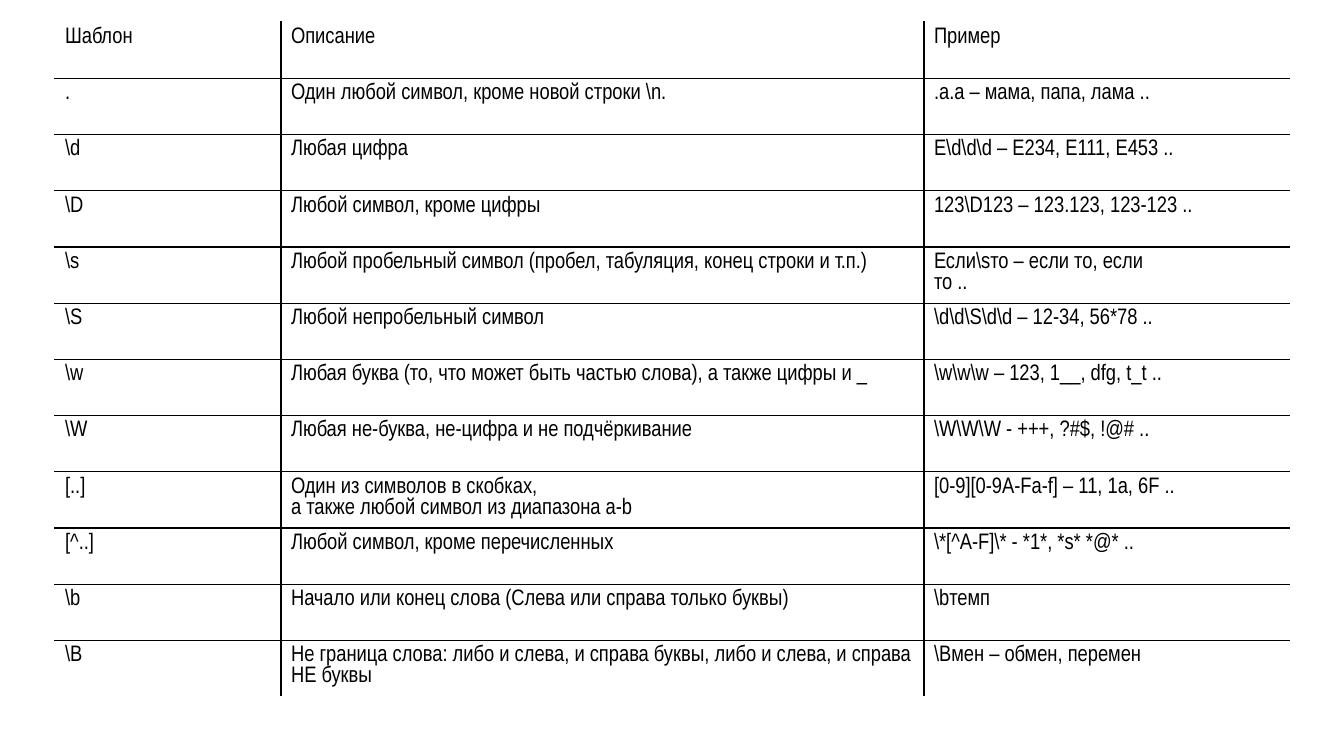
from lxml.etree import SubElement
from pptx import Presentation
from pptx.dml.color import RGBColor
from pptx.oxml.ns import qn
from pptx.util import Pt

SCALE = 914400 / 100.8
FONT = {"name": "Arial Narrow", "size": Pt(16), "bold": False}
PLAIN = {"first_row": False, "horz_banding": False}
INK, PAPER = "000000", "FFFFFF"
COLS = [226, 643, 365]
ROWS = [
    ("Шаблон", "Описание", "Пример"),
    (".", r"Один любой символ, кроме новой строки \n.", ".а.а – мама, папа, лама .."),
    (r"\d", "Любая цифра", r"E\d\d\d – E234, E111, E453 .."),
    (r"\D", "Любой символ, кроме цифры", r"123\D123 – 123.123, 123-123 .."),
    (r"\s", "Любой пробельный символ (пробел, табуляция, конец строки и т.п.)",
     "Если\\sто – если то, если\nто .."),
    (r"\S", "Любой непробельный символ", r"\d\d\S\d\d – 12-34, 56*78 .."),
    (r"\w", "Любая буква (то, что может быть частью слова), а также цифры и _",
     r"\w\w\w – 123, 1__, dfg, t_t .."),
    (r"\W", "Любая не-буква, не-цифра и не подчёркивание", r"\W\W\W - +++, ?#$, !@# .."),
    ("[..]", "Один из символов в скобках,\nа также любой символ из диапазона a-b",
     "[0-9][0-9A-Fa-f] – 11, 1a, 6F .."),
    ("[^..]", "Любой символ, кроме перечисленных", r"\*[^A-F]\* - *1*, *s* *@* .."),
    (r"\b", "Начало или конец слова (Слева или справа только буквы)", r"\bтемп"),
    (r"\B", "Не граница слова: либо и слева, и справа буквы, либо и слева, и справа НЕ буквы",
     r"\Bмен – обмен, перемен"),
]


def px(n):
    return round(n * SCALE)


def color(code):
    return RGBColor.from_string(code)


def style(item, values):
    for key, value in values.items():
        setattr(item, key, value)


def border(cell, sides):
    """Draw the cell's sides; they must come before its fill."""
    props = cell._tc.get_or_add_tcPr()
    for side, code in sides.items():
        line = SubElement(props, qn(f"a:ln{side}"), w=str(Pt(1)))
        fill = SubElement(line, qn("a:solidFill"))
        SubElement(fill, qn("a:srgbClr"), val=code)


def write(cell, text):
    cell.text = text
    for para in cell.text_frame.paragraphs:
        for run in para.runs:
            style(run.font, FONT)
            run.font.color.rgb = color(INK)


def add_grid(slide, left, top, width, height):
    box = [px(n) for n in (left, top, width, height)]
    table = slide.shapes.add_table(len(ROWS), len(COLS), *box).table
    style(table, PLAIN)
    for col, size in zip(table.columns, COLS):
        col.width = px(size)
    last, end = len(ROWS) - 1, len(COLS) - 1
    for r, texts in enumerate(ROWS):
        table.rows[r].height = px(height / len(ROWS))
        for c, text in enumerate(texts):
            cell = table.cell(r, c)
            write(cell, text)
            # Only inner edges are inked
            edges = {"L": c == 0, "R": c == end, "T": r == 0, "B": r == last}
            border(cell, {s: PAPER if outer else INK for s, outer in edges.items()})
            cell.fill.background()


def main():
    deck = Presentation()
    style(deck, {"slide_width": px(1344), "slide_height": px(756)})
    slide = deck.slides.add_slide(deck.slide_layouts[6])
    # Table of patterns
    add_grid(slide, 55, 22, sum(COLS), 675)
    deck.save("out.pptx")


if __name__ == "__main__":
    main()
